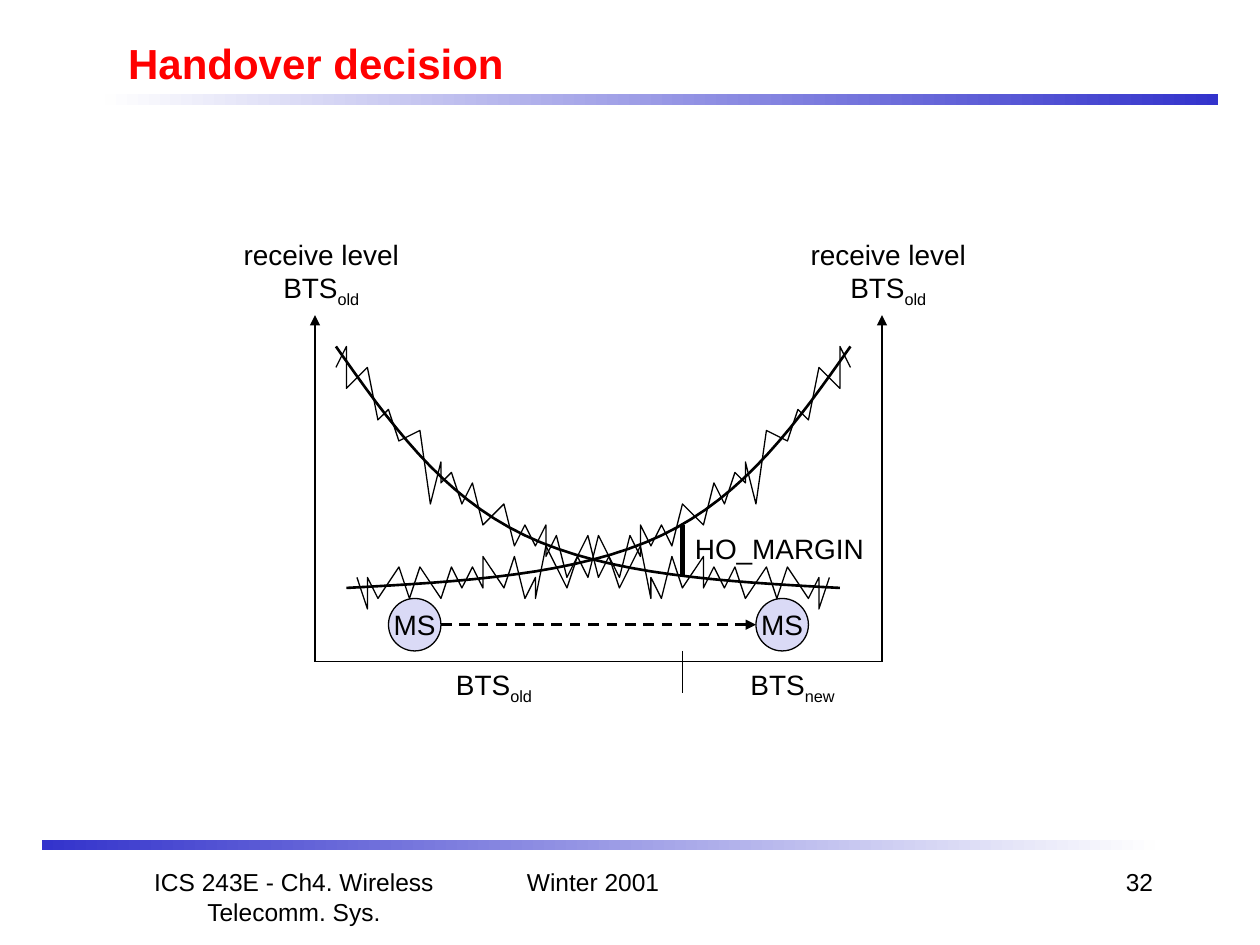
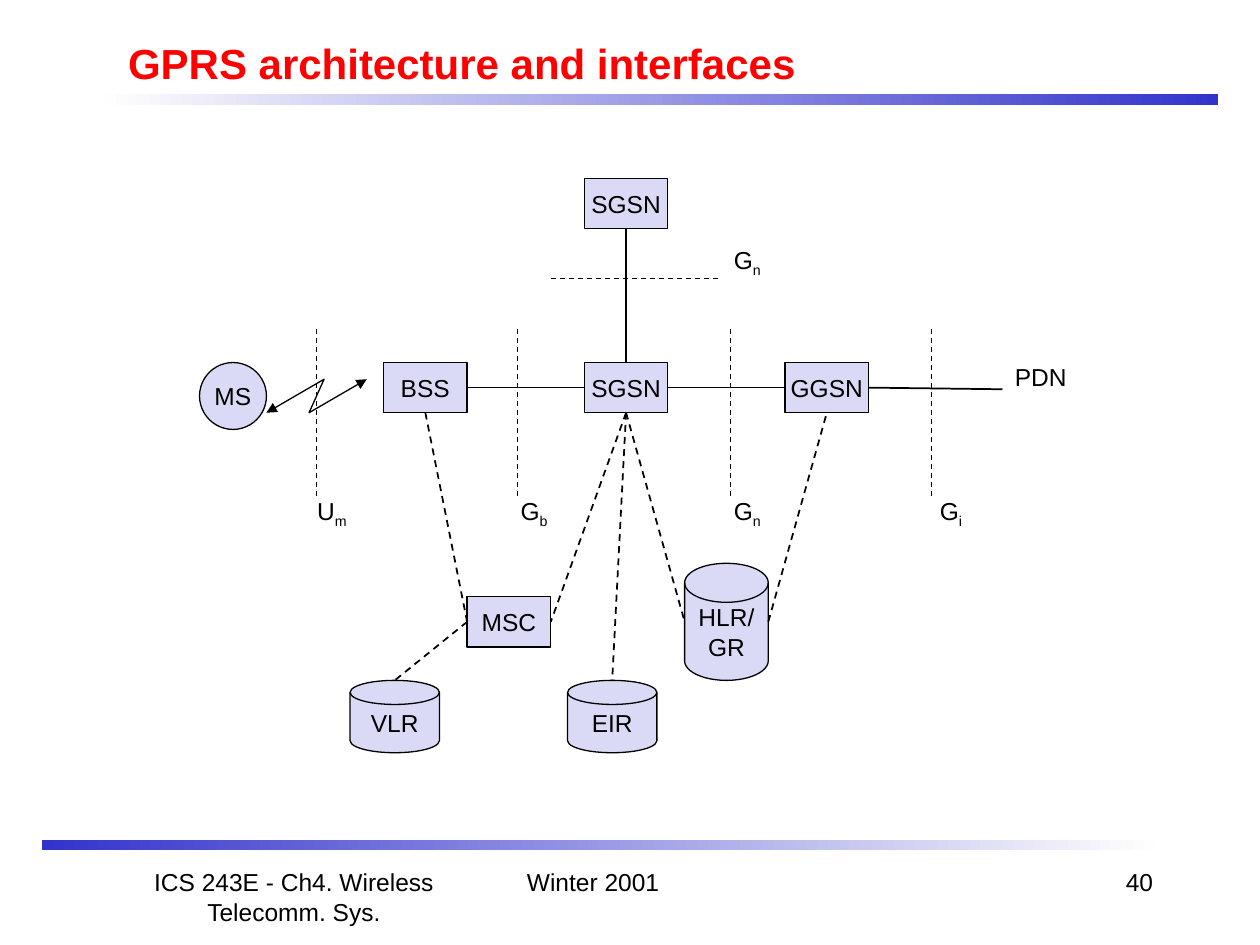
from dataclasses import dataclass
from typing import Any

from lxml import etree
from pptx import Presentation
from pptx.dml.color import RGBColor
from pptx.enum.dml import MSO_LINE
from pptx.enum.shapes import MSO_CONNECTOR, MSO_SHAPE
from pptx.enum.text import MSO_ANCHOR, PP_ALIGN
from pptx.oxml.ns import qn
from pptx.util import Pt

RECT, OVAL = MSO_SHAPE.RECTANGLE, MSO_SHAPE.OVAL
DISK = MSO_SHAPE.FLOWCHART_MAGNETIC_DISK
LEFT, CENTER, RIGHT = PP_ALIGN.LEFT, PP_ALIGN.CENTER, PP_ALIGN.RIGHT
TOP, MIDDLE = MSO_ANCHOR.TOP, MSO_ANCHOR.MIDDLE
STRAIGHT, DASH = MSO_CONNECTOR.STRAIGHT, MSO_LINE.DASH
NORTH, WEST, SOUTH, EAST = range(4)

FONT = "Arial"
COLORS = {"ink": "000000", "title": "FF0000", "node": "DADAF6",
          "band": "3333CC", "fade": "FEFEFE"}

# Grid steps of the fluctuating receive level, across and down
NOISE = [
    (2, 5), (3, 3), (3, 7), (5, 5), (6, 10), (7, 9), (8, 12), (10, 11),
    (11, 18), (12, 14), (12, 16), (13, 15), (14, 18), (15, 16), (16, 20),
    (18, 18), (19, 22), (20, 20), (21, 22), (22, 20), (22, 23), (23, 21),
    (24, 25), (26, 21), (27, 25), (28, 23), (29, 26), (31, 22), (32, 27),
    (32, 25), (33, 27), (34, 23), (35, 26), (37, 23), (37, 26), (38, 24),
    (39, 26), (40, 24), (41, 27), (43, 24), (44, 27), (45, 24), (47, 27),
    (48, 25), (48, 28), (49, 25)]
# Two Bezier spans of the mean level, sharing the middle point
MEAN = [(2, 3), (7, 10.1), (12, 17.2), (20, 21),
        (28, 24.8), (39, 25.4), (50, 26)]


def color(name):
    return RGBColor.from_string(COLORS[name])


def write(frame, text, size, align=CENTER, anchor=TOP, wrap=False,
          ink="ink", bold=False):
    """Fill a frame; a tilde in a line starts its subscript."""
    frame.word_wrap = wrap
    frame.vertical_anchor = anchor
    for i, line in enumerate(text.split("\n")):
        para = frame.add_paragraph() if i else frame.paragraphs[0]
        base, _, sub = line.partition("~")
        para.add_run().text = base
        if sub:
            run = para.add_run()
            run.text = sub
            run._r.get_or_add_rPr().set("baseline", "-25000")
        para.alignment = align
        font = para.font
        font.name, font.size, font.bold = FONT, Pt(size), bold
        font.color.rgb = color(ink)


def stroke(shape, width, dash=False, ends=()):
    shape.line.color.rgb = color("ink")
    shape.line.width = Pt(width)
    if dash:
        shape.line.dash_style = DASH
    for end in ends:
        etree.SubElement(shape.get_or_add_ln(), qn(f"a:{end}"), type="triangle")


@dataclass
class Grid:
    """A drawing area with its own origin, step and text size."""
    slide: Any
    left: float
    top: float
    step: float
    size: int

    def spot(self, x, y):
        return Pt(self.left + x * self.step), Pt(self.top + y * self.step)

    def area(self, x, y, w, h):
        return *self.spot(x, y), Pt(w * self.step), Pt(h * self.step)

    def node(self, kind, text, x, y, w, h):
        shape = self.slide.shapes.add_shape(kind, *self.area(x, y, w, h))
        shape.shadow.inherit = False
        shape.fill.solid()
        shape.fill.fore_color.rgb = color("node")
        stroke(shape, 0.75)
        write(shape.text_frame, text, self.size, anchor=MIDDLE)
        return shape

    def label(self, text, x, y, w, h, align=LEFT):
        box = self.slide.shapes.add_textbox(*self.area(x, y, w, h))
        write(box.text_frame, text, self.size, align, wrap=True)

    def link(self, start, end, width=0.75, dash=False, ends=()):
        """Join two ends, each a point or a (rectangle, side) pair."""
        line = self.slide.shapes.add_connector(STRAIGHT, 0, 0, 0, 0)
        for at, join, names in (
                (start, line.begin_connect, ("begin_x", "begin_y")),
                (end, line.end_connect, ("end_x", "end_y"))):
            if isinstance(at[0], (int, float)):
                for name, value in zip(names, self.spot(*at)):
                    setattr(line, name, value)
            else:
                join(*at)
        etree.SubElement(line._element.spPr, qn("a:effectLst"))
        stroke(line, width, dash, ends)

    def trace(self, points, width=0.75, ends=()):
        spots = [self.spot(*point) for point in points]
        pen = self.slide.shapes.build_freeform(*spots[0])
        pen.add_line_segments(spots[1:], close=False)
        shape = pen.convert_to_shape()
        shape.shadow.inherit = False
        shape.fill.background()
        stroke(shape, width, ends=ends)


def bend(knots, parts=16):
    """Return points along a chain of cubic Bezier spans."""
    points = [knots[0]]
    for i in range(0, len(knots) - 1, 3):
        span = knots[i:i + 4]
        for n in range(1, parts + 1):
            t = n / parts
            mix = ((1 - t) ** 3, 3 * t * (1 - t) ** 2,
                   3 * t * t * (1 - t), t ** 3)
            points.append(tuple(sum(m * v for m, v in zip(mix, axis))
                                for axis in zip(*span)))
    return points


def band(slide, left, top, tints):
    bar = slide.shapes.add_shape(RECT, Pt(left), Pt(top), Pt(636), Pt(6))
    bar.shadow.inherit = False
    bar.line.fill.background()
    bar.fill.gradient()
    bar.fill.gradient_angle = 0
    for stop, tint in zip(bar.fill.gradient_stops, tints):
        stop.color.rgb = color(tint)


def frame(deck, title, number):
    """Add a slide with its title, bands and footer."""
    slide = deck.slides.add_slide(deck.slide_layouts[5])
    band(slide, 60, 54, ("fade", "band"))
    band(slide, 24, 480, ("band", "fade"))
    head = slide.shapes.title
    head.left, head.top, head.width, head.height = map(Pt, (66, 18, 612, 36))
    write(head.text_frame, title, 24, LEFT, MIDDLE, True, "title", True)
    for text, left, width, align in (
            ("ICS 243E - Ch4. Wireless Telecomm. Sys.", 54, 228, CENTER),
            ("Winter 2001", 294, 150, LEFT),
            (str(number), 516, 150, RIGHT)):
        box = slide.shapes.add_textbox(Pt(left), Pt(492), Pt(width), Pt(36))
        write(box.text_frame, text, 14, align, wrap=True)
    return slide


def handover(slide, left, top, step):
    plot = Grid(slide, left, top, step, 16)
    wide, deep, cut = 54, 33, 35
    for x in (0, wide):
        plot.link((x, deep), (x, 0), ends=["tailEnd"])
        plot.label("receive level\nBTS~old", x - 9.4, -8, 20, 8, CENTER)
    plot.link((0, deep), (wide, deep))
    for x in (7, 42):
        plot.node(OVAL, "MS", x, 27, 5, 5)
    plot.link((12, 29.5), (42, 29.5), 1.5, True, ["tailEnd"])
    for points, width in ((bend(MEAN), 1.5), (NOISE, 0.75)):
        plot.trace(points, width)
        plot.trace([(wide - 1 - x, y) for x, y in points], width)
    plot.link((cut, 25), (cut, 20), 3)
    plot.label("HO_MARGIN", cut, 20, 20, 4.4)
    plot.link((cut, 32), (cut, 36))
    for text, x in (("BTS~old", 12.25), ("BTS~new", 40.3)):
        plot.label(text, x, deep, 12, 4.9)


def network(slide, left, top, step):
    net = Grid(slide, left, top, step, 14)
    upper, bss, sgsn, ggsn, msc = [
        net.node(RECT, text, x, y, 5, 3) for text, x, y in (
            ("SGSN", 23, 0), ("BSS", 11, 11), ("SGSN", 23, 11),
            ("GGSN", 35, 11), ("MSC", 16, 25))]
    net.node(OVAL, "MS", 0, 11, 4, 4)
    net.node(DISK, "VLR", 9, 30, 5.34, 4.33)
    net.node(DISK, "EIR", 22, 30, 5.34, 4.33)
    net.node(DISK, "HLR/\nGR", 29, 23, 5, 7)
    net.trace([(4, 14), (7.45, 12), (6.55, 14), (10, 12)],
              ends=("headEnd", "tailEnd"))

    net.link((upper, SOUTH), (sgsn, NORTH))
    net.link((bss, EAST), (sgsn, WEST))
    net.link((ggsn, WEST), (sgsn, EAST))
    net.link((ggsn, EAST), (48, 12.6), 1)
    net.label("PDN", 48, 10.6, 6, 2.55)
    for start, end in (
            ((bss, SOUTH), (msc, WEST)), ((msc, WEST), (11.67, 30)),
            ((sgsn, SOUTH), (msc, EAST)), ((sgsn, SOUTH), (24.67, 30)),
            ((sgsn, SOUTH), (29, 26.5)), ((34, 26.5), (ggsn, SOUTH))):
        net.link(start, end, 1, True)

    def name(text, right, y):
        net.label(text, right - 5, y, 5, 2.8, RIGHT)

    for text, x, right in (("U~m", 7, 9.55), ("G~b", 19, 21.55),
                           ("G~n", 31.75, 34.3), ("G~i", 43.75, 46.33)):
        net.link((x, 19), (x, 9), dash=True)
        name(text, right, 18.6)
    net.link((21, 6), (31, 6), dash=True)
    name("G~n", 34.3, 3.6)


def main():
    deck = Presentation()
    deck.slide_width, deck.slide_height = Pt(720), Pt(540)
    handover(frame(deck, "Handover decision", 32), 180, 180, 6)
    network(frame(deck, "GPRS architecture and interfaces", 40),
            114, 102, 9.56)
    deck.save("out.pptx")


if __name__ == "__main__":
    main()
